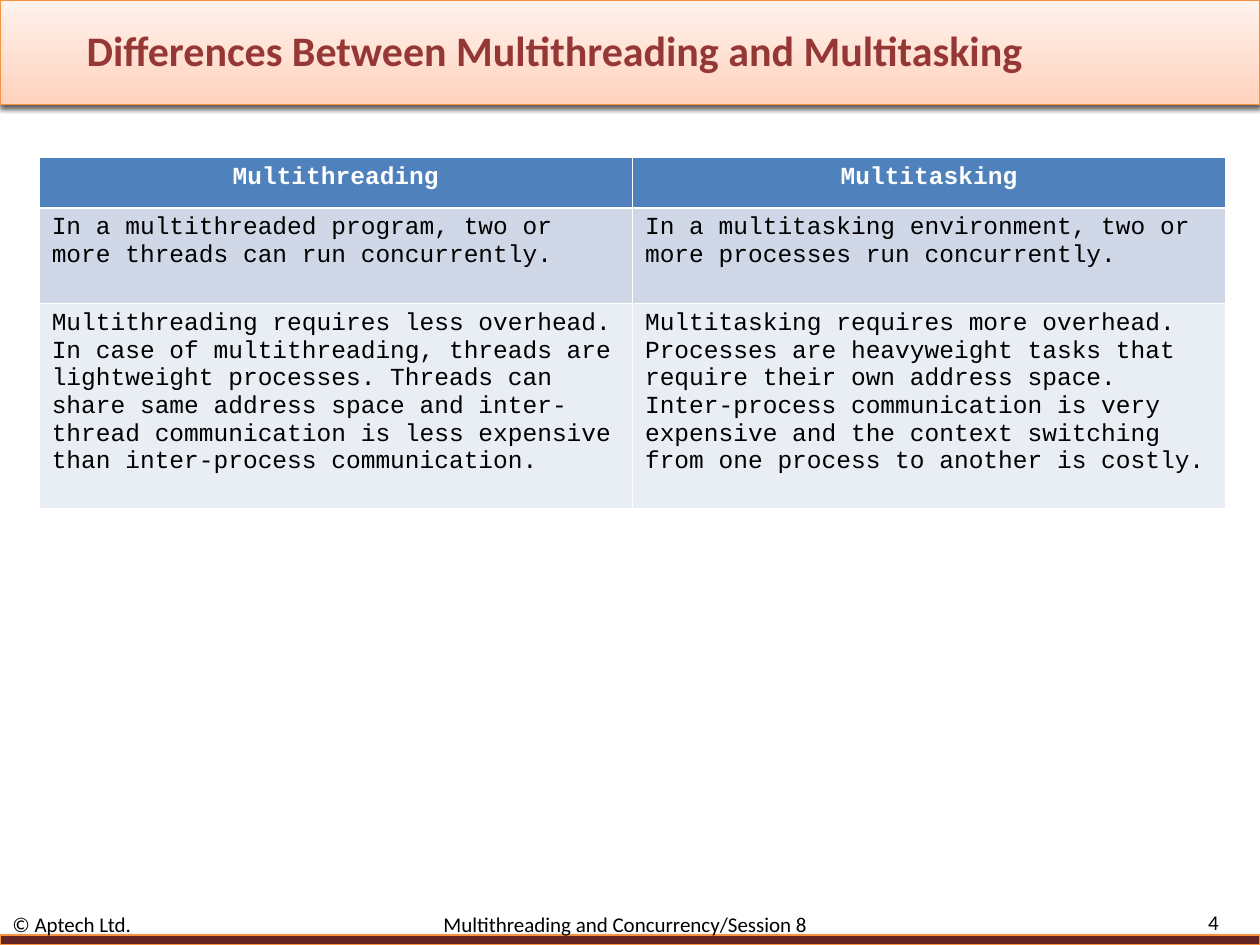
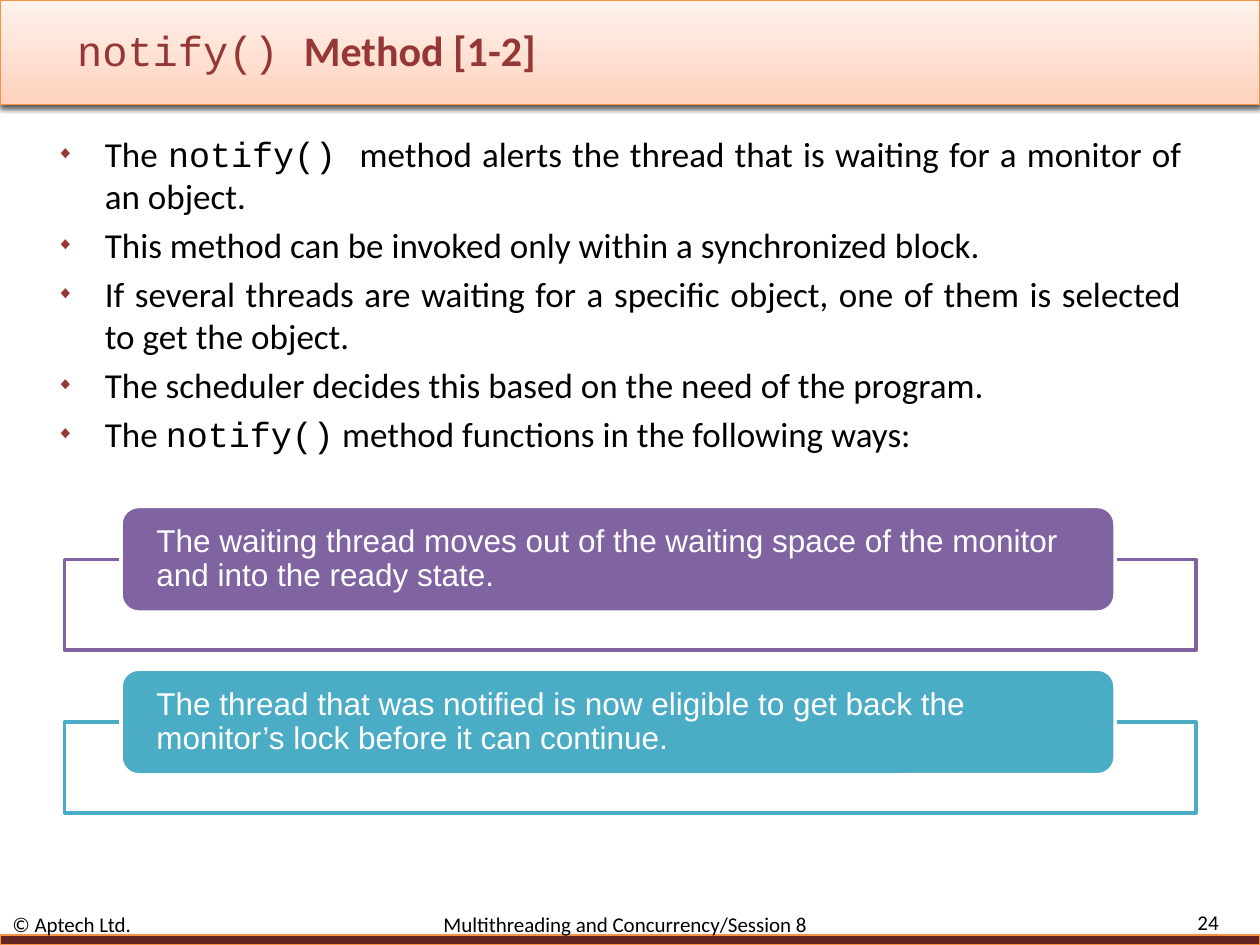
from dataclasses import dataclass
from typing import Any, NamedTuple

from lxml import etree
from pptx import Presentation
from pptx.dml.color import RGBColor
from pptx.enum.shapes import MSO_SHAPE
from pptx.enum.text import MSO_ANCHOR, MSO_AUTO_SIZE, PP_ALIGN
from pptx.oxml.ns import qn
from pptx.util import Cm, Pt

RECT, ROUND = MSO_SHAPE.RECTANGLE, MSO_SHAPE.ROUNDED_RECTANGLE
MIDDLE, TOP = MSO_ANCHOR.MIDDLE, MSO_ANCHOR.TOP
LEFT, MID, RIGHT, FULL = PP_ALIGN.LEFT, PP_ALIGN.CENTER, PP_ALIGN.RIGHT, PP_ALIGN.JUSTIFY
FIXED = MSO_AUTO_SIZE.NONE


@dataclass(frozen=True)
class Theme:
    title: str = "953735"
    mark: str = "973735"
    ink: str = "000000"
    white: str = "FFFFFF"
    edge: str = "F69240"
    base: str = "632523"
    low: str = "FFD2BD"
    high: str = "FFF2ED"
    head: str = "4F81BD"
    rows: tuple[str, str] = ("D0D8E8", "E9EDF4")
    cards: tuple[str, str] = ("8064A2", "4BACC6")
    sans: str = "Calibri"
    mono: str = "Courier New"
    plain: str = "Arial"
    title_size: int = 24
    body_size: int = 20
    card_size: int = 18
    table_size: int = 14
    foot_size: int = 12


class Box(NamedTuple):
    x: float
    y: float
    w: float
    h: float

    def cm(self) -> tuple[int, ...]:
        return tuple(Cm(v) for v in self)


class Part(NamedTuple):
    text: str
    code: bool = False


THEME = Theme()
TOP_BAND = Box(0, 0, 25.4, 2.11)
BASE_BAND = Box(0, 18.85, 25.4, 0.2)
TITLE = Box(1.3, 0.43, 20.5, 1.14)
BODY = Box(0.89, 2.54, 23.19, 14.73)
FOOT = Box(0, 18.42, 22.43, 0.43)
PAGE = Box(22.66, 18.36, 2.16, 0.46)
TABLE = Box(0.79, 3.18, 23.92, 7.08)
HEIGHTS = (1.01, 1.93, 4.14)
FRAME = Box(1.3, 11.28, 22.81, 1.83)
CARD = Box(2.44, 10.21, 20.04, 2.13)
CARD_STEP = 3.28
CARD_PAD = 0.61
HANG = 0.97
FOOT_TAB = 8.69

ROWS = (
    ("Multithreading", "Multitasking"),
    (
        "In a multithreaded program, two or more threads can run concurrently.",
        "In a multitasking environment, two or more processes run concurrently.",
    ),
    (
        "Multithreading requires less overhead. In case of multithreading, threads are "
        "lightweight processes. Threads can share same address space and inter-thread "
        "communication is less expensive than inter-process communication.",
        "Multitasking requires more overhead. Processes are heavyweight tasks that require "
        "their own address space. Inter-process communication is very expensive and the "
        "context switching from one process to another is costly.",
    ),
)
POINTS = (
    (
        Part("The "),
        Part("notify() ", True),
        Part("method alerts the thread that is waiting for a monitor of an object."),
    ),
    (Part("This method can be invoked only within a synchronized block."),),
    (
        Part(
            "If several threads are waiting for a specific object, "
            "one of them is selected to get the object."
        ),
    ),
    (Part("The scheduler decides this based on the need of the program."),),
    (
        Part("The "),
        Part("notify()", True),
        Part(" method functions in the following ways:"),
    ),
)
CARDS = (
    "The waiting thread moves out of the waiting space of the monitor and into the ready state.",
    "The thread that was notified is now eligible to get back the monitor’s lock "
    "before it can continue.",
)


def tint(code: str) -> RGBColor:
    return RGBColor.from_string(code)


def write(para: Any, text: str, *, size: int, font: str = THEME.sans,
          color: str = THEME.ink, bold: bool = False, align: Any = LEFT) -> None:
    para.alignment = align
    run = para.add_run()
    run.text = text
    run.font.size = Pt(size)
    run.font.name = font
    run.font.bold = bold
    run.font.color.rgb = tint(color)


def add(parent: Any, tag: str, **attrs: Any) -> Any:
    return etree.SubElement(parent, qn(tag), {k: str(v) for k, v in attrs.items()})


def place(shape: Any, box: Box) -> None:
    shape.left, shape.top, shape.width, shape.height = box.cm()


def setup(frame: Any, anchor: Any) -> None:
    frame.word_wrap = True
    frame.auto_size = FIXED
    frame.vertical_anchor = anchor


def draw(slide: Any, kind: Any, box: Box, fill: str, line: str, width: float) -> Any:
    shape = slide.shapes.add_shape(kind, *box.cm())
    shape.shadow.inherit = False
    shape.fill.solid()
    shape.fill.fore_color.rgb = tint(fill)
    shape.line.color.rgb = tint(line)
    shape.line.width = Pt(width)
    return shape


def shade(shape: Any, alpha: int) -> None:
    effects = shape.element.spPr.find(qn("a:effectLst"))
    cast = add(effects, "a:outerShdw", blurRad=Pt(3.1), dist=Pt(1.7),
               dir=5400000, rotWithShape=0)
    add(add(cast, "a:srgbClr", val=THEME.ink), "a:alpha", val=alpha * 1000)


def add_bands(deck: Any, slide: Any) -> None:
    top = draw(slide, RECT, TOP_BAND, THEME.low, THEME.edge, 0.75)
    top.fill.gradient()
    top.fill.gradient_angle = 90
    for stop, color in zip(top.fill.gradient_stops, (THEME.low, THEME.high)):
        stop.color.rgb = tint(color)
    base = draw(slide, RECT, BASE_BAND, THEME.base, THEME.edge, 0.75)
    tree = deck.slide_master.shapes.element
    for spot, (band, alpha) in enumerate(((top, 62), (base, 35))):
        shade(band, alpha)
        band.element.nvSpPr.cNvPr.set("id", str(100 + spot))
        tree.insert(2 + spot, band.element)


def add_title(slide: Any, parts: tuple[Part, ...]) -> None:
    title = slide.shapes.title
    place(title, TITLE)
    setup(title.text_frame, MIDDLE)
    for part in parts:
        write(title.text_frame.paragraphs[0], part.text, size=THEME.title_size,
              font=THEME.mono if part.code else THEME.sans,
              color=THEME.title, bold=not part.code)


def add_foot(slide: Any, page: int) -> None:
    texts = (
        (FOOT, "© Aptech Ltd.\tMultithreading and Concurrency/Session 8", LEFT),
        (PAGE, str(page), RIGHT),
    )
    for box, text, align in texts:
        frame = slide.shapes.add_textbox(*box.cm()).text_frame
        setup(frame, MIDDLE)
        para = frame.paragraphs[0]
        if "\t" in text:
            tabs = add(para._p.get_or_add_pPr(), "a:tabLst")
            add(tabs, "a:tab", pos=Cm(FOOT_TAB), algn="l")
        write(para, text, size=THEME.foot_size, align=align)


def add_grid(slide: Any) -> None:
    grid = slide.shapes.add_table(len(ROWS), len(ROWS[0]), *TABLE.cm()).table
    fills = (THEME.head, *THEME.rows)
    for r, (texts, height, fill) in enumerate(zip(ROWS, HEIGHTS, fills)):
        grid.rows[r].height = Cm(height)
        head = r == 0
        for c, text in enumerate(texts):
            cell = grid.cell(r, c)
            cell.fill.solid()
            cell.fill.fore_color.rgb = tint(fill)
            write(cell.text_frame.paragraphs[0], text, size=THEME.table_size,
                  font=THEME.mono, color=THEME.white if head else THEME.ink,
                  bold=head, align=MID if head else LEFT)


def add_list(slide: Any) -> None:
    body = slide.placeholders[1]
    place(body, BODY)
    frame = body.text_frame
    setup(frame, TOP)
    for i, parts in enumerate(POINTS):
        para = frame.add_paragraph() if i else frame.paragraphs[0]
        props = para._p.get_or_add_pPr()
        props.set("marL", str(Cm(HANG)))
        props.set("indent", str(-Cm(HANG)))
        add(add(props, "a:buClr"), "a:srgbClr", val=THEME.mark)
        add(props, "a:buSzPct", val=50000)
        add(props, "a:buChar", char="◆")
        para.space_before = Pt(4 if i else 0)
        for part in parts:
            write(para, part.text, size=THEME.body_size, align=FULL,
                  font=THEME.mono if part.code else THEME.sans)


def add_cards(slide: Any) -> None:
    for i, (text, color) in enumerate(zip(CARDS, THEME.cards)):
        drop = i * CARD_STEP
        draw(slide, RECT, FRAME._replace(y=FRAME.y + drop), THEME.white, color, 2)
        card = draw(slide, ROUND, CARD._replace(y=CARD.y + drop), color, THEME.white, 2)
        frame = card.text_frame
        setup(frame, MIDDLE)
        frame.margin_left = frame.margin_right = Cm(CARD_PAD)
        frame.margin_top = frame.margin_bottom = 0
        para = frame.paragraphs[0]
        para.line_spacing = 0.9
        write(para, text, size=THEME.card_size, font=THEME.plain, color=THEME.white)


def main() -> None:
    deck = Presentation()
    deck.slide_width, deck.slide_height = Cm(25.4), Cm(19.05)

    first = deck.slides.add_slide(deck.slide_layouts[5])
    add_bands(deck, first)
    add_grid(first)
    add_title(first, (Part(" Differences Between Multithreading and Multitasking"),))
    add_foot(first, 4)

    second = deck.slides.add_slide(deck.slide_layouts[1])
    add_list(second)
    add_title(second, (Part("notify() ", True), Part("Method [1-2]")))
    add_foot(second, 24)
    add_cards(second)

    deck.save("out.pptx")


if __name__ == "__main__":
    main()
